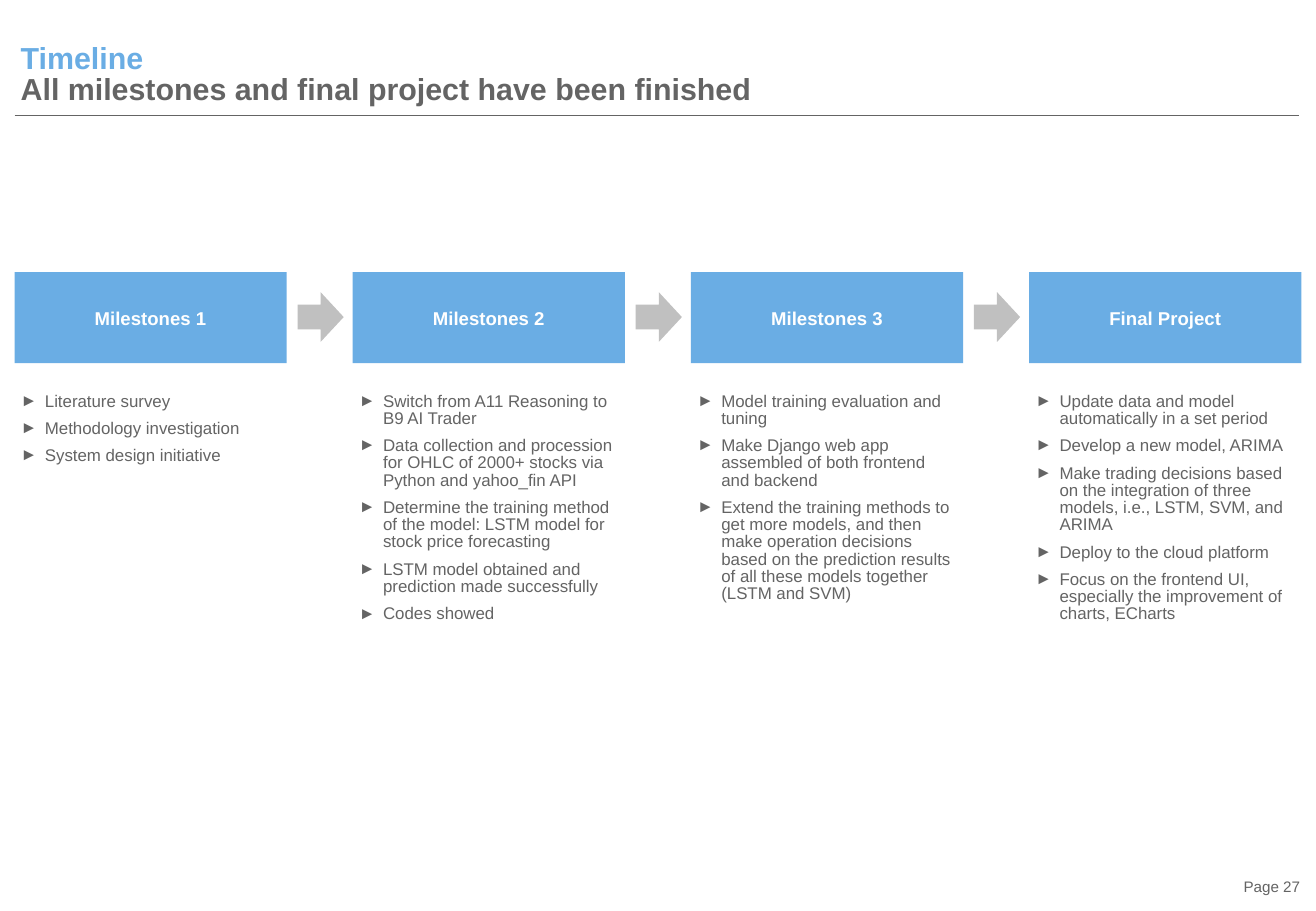
from lxml.etree import SubElement
from pptx import Presentation
from pptx.dml.color import RGBColor
from pptx.enum.shapes import MSO_CONNECTOR, MSO_SHAPE
from pptx.enum.text import MSO_ANCHOR, MSO_AUTO_SIZE, PP_ALIGN
from pptx.oxml.ns import qn
from pptx.util import Inches, Pt

BLUE, GREY, SILVER, WHITE = "6AADE4", "646464", "C0C0C0", "FFFFFF"
LEFT, RIGHT, STAGE_WIDTH = 0.12, 10.71, 2.24
STAGES = {
    "Milestones 1": [
        "Literature survey",
        "Methodology investigation",
        "System design initiative",
    ],
    "Milestones 2": [
        "Switch from A11 Reasoning to B9 AI Trader",
        "Data collection and procession for OHLC of 2000+ stocks via Python and yahoo_fin API",
        "Determine the training method of the model: LSTM model for stock price forecasting",
        "LSTM model obtained and prediction made successfully",
        "Codes showed",
    ],
    "Milestones 3": [
        "Model training evaluation and tuning",
        "Make Django web app assembled of both frontend and backend",
        "Extend the training methods to get more models, and then make operation decisions "
        "based on the prediction results of all these models together (LSTM and SVM)",
    ],
    "Final Project": [
        "Update data and model automatically in a set period",
        "Develop a new model, ARIMA",
        "Make trading decisions based on the integration of three models, i.e., LSTM, SVM, and ARIMA",
        "Deploy to the cloud platform",
        "Focus on the frontend UI, especially the improvement of charts, ECharts",
    ],
}


def color(hex_value):
    """Turn a hex string into a colour."""
    return RGBColor.from_string(hex_value)


def apply(target, **values):
    """Set each named attribute on the target."""
    for name, value in values.items():
        setattr(target, name, value)


def inches(*lengths):
    """Convert several lengths to inches."""
    return [Inches(length) for length in lengths]


def set_frame(frame, margins, anchor=MSO_ANCHOR.TOP, auto_size=MSO_AUTO_SIZE.NONE):
    """Set wrapping, anchor and the left, top, right, bottom margins."""
    sides = ("margin_left", "margin_top", "margin_right", "margin_bottom")
    apply(frame, word_wrap=True, vertical_anchor=anchor, auto_size=auto_size,
          **dict(zip(sides, inches(*margins))))


def write(paragraph, text, size, hex_value, bold=False):
    """Add one formatted run to a paragraph."""
    run = paragraph.add_run()
    run.text = text
    apply(run.font, name="Arial", size=Pt(size), bold=bold)
    run.font.color.rgb = color(hex_value)


def add_solid(slide, preset, box, hex_value):
    """Add a flat filled shape without outline."""
    solid = slide.shapes.add_shape(preset, *inches(*box))
    solid.shadow.inherit = False
    solid.fill.solid()
    solid.fill.fore_color.rgb = color(hex_value)
    solid.line.fill.background()
    return solid


def add_heading(slide, left, top, width, height):
    """Place the two-line title and the rule below it."""
    title = slide.shapes.title
    apply(title, **dict(zip(("left", "top", "width", "height"),
                            inches(left, top, width, height))))
    set_frame(title.text_frame, (0.05, 0, 0, 0), MSO_ANCHOR.BOTTOM)
    heading = title.text_frame.paragraphs[0]
    apply(heading, alignment=PP_ALIGN.LEFT, line_spacing=0.85, space_before=Pt(0))
    write(heading, "Timeline", 18, BLUE, True)
    heading.add_line_break()
    write(heading, "All milestones and final project have been finished", 18, GREY, True)

    rule_top = top + height + 0.07
    rule = slide.shapes.add_connector(
        MSO_CONNECTOR.STRAIGHT, *inches(left, rule_top, left + width - 0.02, rule_top))
    rule.line.color.rgb = color(GREY)
    rule.line.width = Pt(0.75)
    SubElement(rule._element.spPr, qn("a:effectLst"))


def add_bullet(paragraph):
    """Give a paragraph a hanging triangle bullet."""
    properties = paragraph._p.get_or_add_pPr()
    properties.set("marL", str(Inches(0.2)))
    properties.set("indent", str(-Inches(0.2)))
    SubElement(SubElement(properties, qn("a:buClr")), qn("a:srgbClr"), val=GREY)
    SubElement(properties, qn("a:buFont"), typeface="Arial")
    SubElement(properties, qn("a:buChar"), char="►")


def add_stage(slide, left, top, width, name, tasks):
    """Place a stage banner with its task list below."""
    banner = add_solid(slide, MSO_SHAPE.RECTANGLE, (left, top, width, 0.75), BLUE)
    set_frame(banner.text_frame, [0.05] * 4, MSO_ANCHOR.MIDDLE)
    label = banner.text_frame.paragraphs[0]
    label.alignment = PP_ALIGN.CENTER
    write(label, name, 11, WHITE, True)

    task_list = slide.shapes.add_textbox(*inches(left, top + 0.95, width, 2.1))
    frame = task_list.text_frame
    set_frame(frame, [0.05] * 4, auto_size=MSO_AUTO_SIZE.SHAPE_TO_FIT_TEXT)
    for index, task in enumerate(tasks):
        item = frame.add_paragraph() if index else frame.paragraphs[0]
        apply(item, line_spacing=0.85, space_before=Pt(6))
        add_bullet(item)
        write(item, task, 10, GREY)


def add_timeline(slide, left, top, width):
    """Spread the stages evenly with an arrow in each gap."""
    pitch = (width - STAGE_WIDTH) / (len(STAGES) - 1)
    for index, (name, tasks) in enumerate(STAGES.items()):
        stage_left = left + index * pitch
        add_stage(slide, stage_left, top, STAGE_WIDTH, name, tasks)
        if index:
            arrow_box = (stage_left - 0.47, top + 0.18, 0.41, 0.38)
            arrow = add_solid(slide, MSO_SHAPE.DOWN_ARROW, arrow_box, SILVER)
            arrow.rotation = 270


def add_page_number(slide, left, top, width, height):
    """Place the page number at the lower right."""
    page = slide.shapes.add_textbox(*inches(left, top, width, height))
    set_frame(page.text_frame, [0] * 4, MSO_ANCHOR.MIDDLE)
    number = page.text_frame.paragraphs[0]
    number.alignment = PP_ALIGN.RIGHT
    write(number, "Page 27", 9, GREY)


def main():
    """Build and save the timeline slide."""
    deck = Presentation()
    apply(deck, slide_width=Inches(10.83), slide_height=Inches(7.5))
    slide = deck.slides.add_slide(deck.slide_layouts[5])
    add_heading(slide, LEFT, 0.01, RIGHT - LEFT, 0.87)
    add_timeline(slide, LEFT, 2.24, RIGHT - LEFT)
    add_page_number(slide, 8.16, 7.19, 2.54, 0.22)
    deck.save("out.pptx")


if __name__ == "__main__":
    main()
